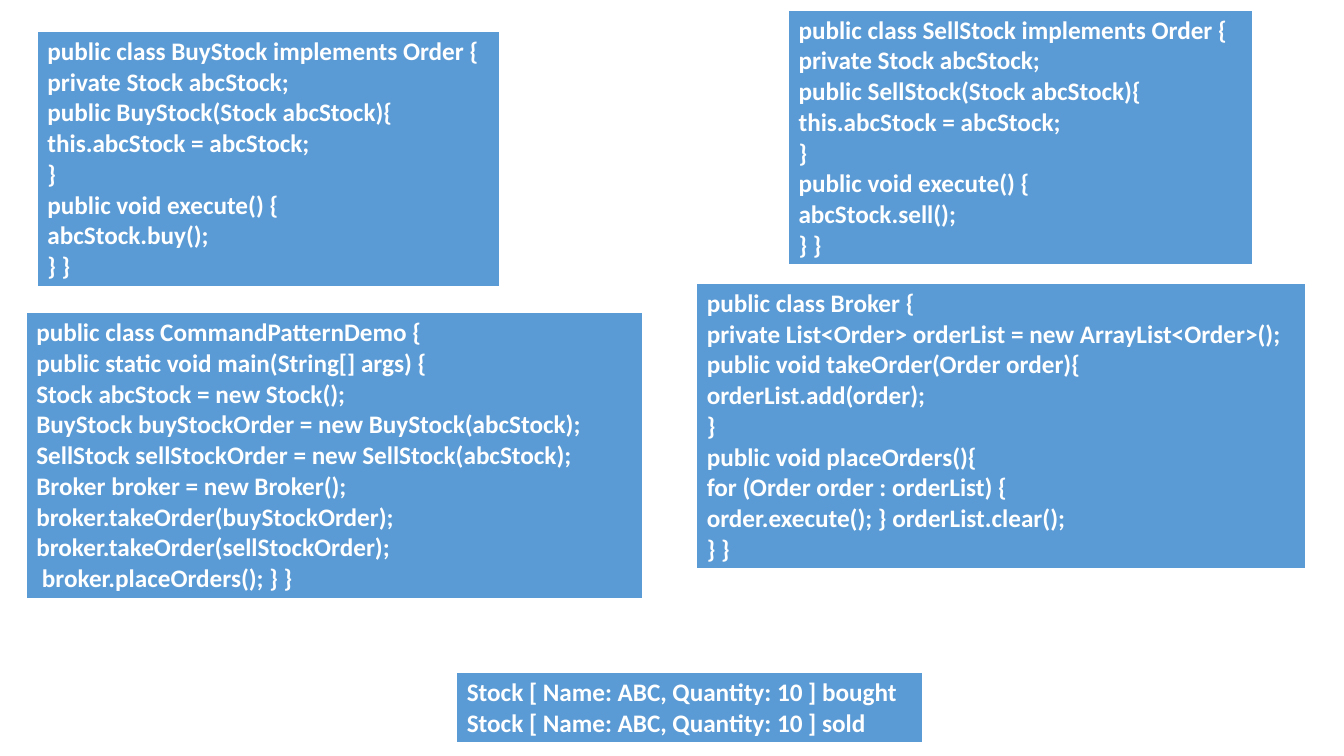
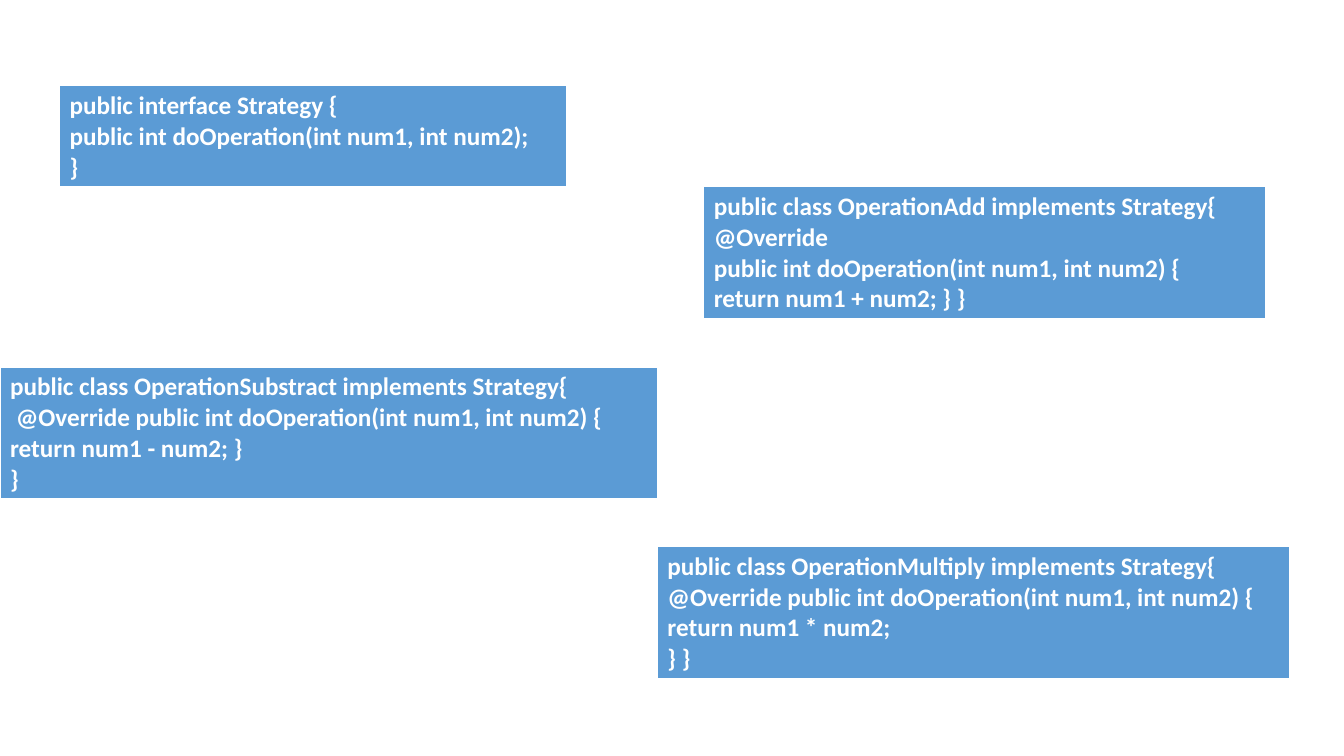
from dataclasses import dataclass

from lxml import etree
from pptx import Presentation
from pptx import util as u
from pptx.dml.color import RGBColor
from pptx.oxml import ns


@dataclass(frozen=True)
class Theme:
    panel: str = "5B9BD5"
    ink: str = "FFFFFF"
    border: str = "FFFFFF"
    font: str = "Calibri"
    code_size: int = 18
    line_height: float = 0.3
    padding: float = 0.1
    thin: int = 1
    thick: int = 3


class Deck:
    """Holds the theme and the current slide."""

    def __init__(self, theme):
        self.theme = theme
        self.prs = Presentation()
        self.prs.slide_width = u.Inches(13.33)
        self.prs.slide_height = u.Inches(7.5)
        self.slide = None

    def new_slide(self):
        blank_layout = self.prs.slide_layouts[6]
        self.slide = self.prs.slides.add_slide(blank_layout)

    def code_panel(self, left, top, width, code):
        """One-cell table, as tall as its lines of code."""
        theme = self.theme
        height = theme.line_height * len(code.split("\n")) + theme.padding
        panel = self.slide.shapes.add_table(
            1, 1, u.Inches(left), u.Inches(top), u.Inches(width), u.Inches(height))
        cell = panel.table.cell(0, 0)
        self.cell_borders(cell)
        cell.fill.solid()
        cell.fill.fore_color.rgb = RGBColor.from_string(theme.panel)
        cell.text = code
        for line in cell.text_frame.paragraphs:
            line.font.name = theme.font
            line.font.size = u.Pt(theme.code_size)
            line.font.bold = True
            line.font.color.rgb = RGBColor.from_string(theme.ink)

    def cell_borders(self, cell):
        theme = self.theme
        properties = cell._tc.get_or_add_tcPr()
        for side in "LRTB":
            weight = theme.thick if side == "B" else theme.thin
            border = etree.SubElement(
                properties, ns.qn(f"a:ln{side}"), w=str(u.Pt(weight)))
            fill = etree.SubElement(border, ns.qn("a:solidFill"))
            etree.SubElement(fill, ns.qn("a:srgbClr"), val=theme.border)


# Code shown on the slides
def order_class(name, action):
    return f"""public class {name} implements Order {{
private Stock abcStock;
public {name}(Stock abcStock){{
this.abcStock = abcStock;
}}
public void execute() {{
abcStock.{action}();
}} }}"""


BROKER = """public class Broker {
private List<Order> orderList = new ArrayList<Order>();
public void takeOrder(Order order){
orderList.add(order);
}
public void placeOrders(){
for (Order order : orderList) {
order.execute(); } orderList.clear();
} }"""

COMMAND_DEMO = """public class CommandPatternDemo {
public static void main(String[] args) {
Stock abcStock = new Stock();
BuyStock buyStockOrder = new BuyStock(abcStock);
SellStock sellStockOrder = new SellStock(abcStock);
Broker broker = new Broker();
broker.takeOrder(buyStockOrder);
broker.takeOrder(sellStockOrder);
 broker.placeOrders(); } }"""

DEMO_OUTPUT = """Stock [ Name: ABC, Quantity: 10 ] bought
Stock [ Name: ABC, Quantity: 10 ] sold"""

STRATEGY = """public interface Strategy {
public int doOperation(int num1, int num2);
}"""

ADD = """public class OperationAdd implements Strategy{
@Override
public int doOperation(int num1, int num2) {
return num1 + num2; } }"""

SUBTRACT = """public class OperationSubstract implements Strategy{
 @Override public int doOperation(int num1, int num2) {
return num1 - num2; }
}"""

MULTIPLY = """public class OperationMultiply implements Strategy{
@Override public int doOperation(int num1, int num2) {
return num1 * num2;
} }"""

# Panels of each slide: left, top, width, code
COMMAND_PATTERN = [
    (0.37, 0.31, 4.59, order_class("BuyStock", "buy")),
    (7.82, 0.1, 4.6, order_class("SellStock", "sell")),
    (6.91, 2.81, 6.04, BROKER),
    (0.26, 3.1, 6.11, COMMAND_DEMO),
    (4.53, 6.67, 4.62, DEMO_OUTPUT),
]
STRATEGY_PATTERN = [
    (0.59, 0.85, 5.03, STRATEGY),
    (6.98, 1.85, 5.57, ADD),
    (0, 3.64, 6.52, SUBTRACT),
    (6.52, 5.42, 6.27, MULTIPLY),
]


def main():
    deck = Deck(Theme())
    for panels in (COMMAND_PATTERN, STRATEGY_PATTERN):
        deck.new_slide()
        for left, top, width, code in panels:
            deck.code_panel(left, top, width, code)
    deck.prs.save("out.pptx")


if __name__ == "__main__":
    main()
